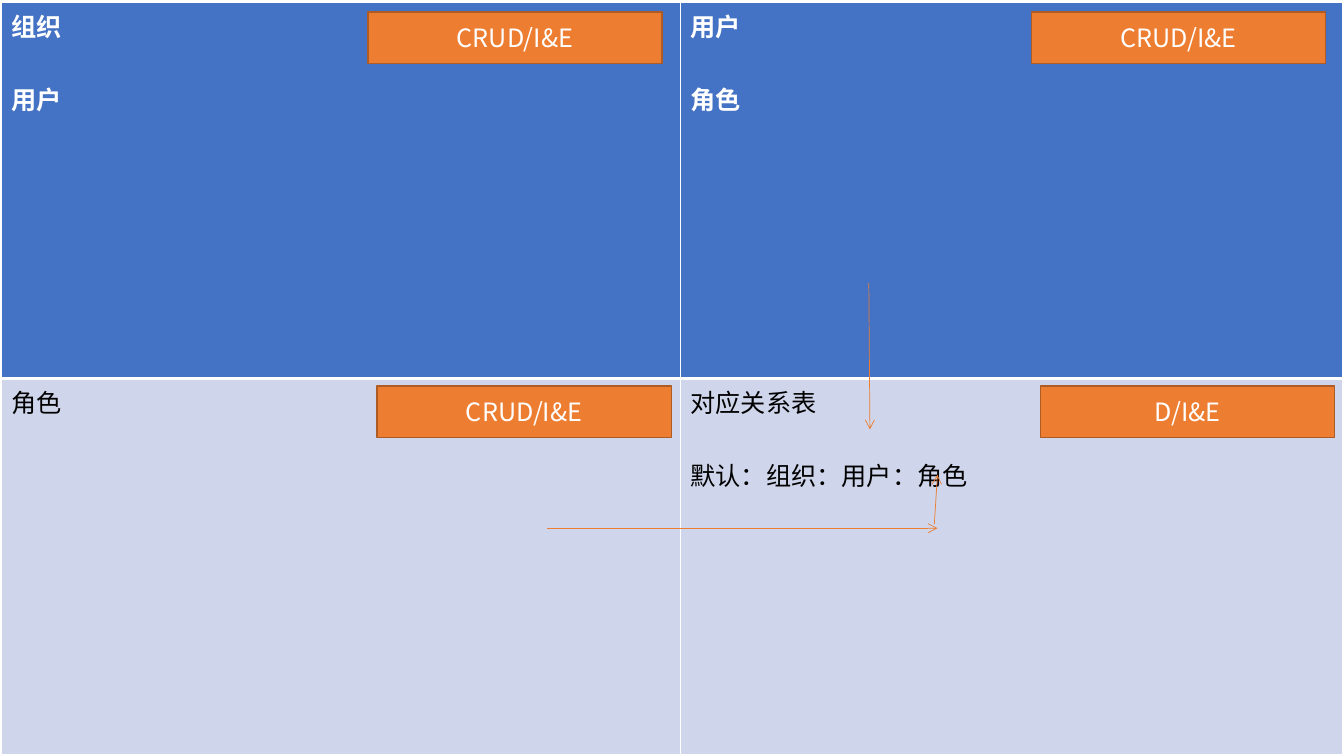
import pptx
import pptx.dml.color
import pptx.enum.shapes
import pptx.enum.text
import pptx.oxml
import pptx.oxml.ns
import pptx.util
import lxml.etree

Pt = pptx.util.Pt
qn = pptx.oxml.ns.qn
Color = pptx.dml.color.RGBColor.from_string

theme = {
    "font": "Noto Sans CJK SC",
    "size": Pt(18),
    "white": "FFFFFF",
    "black": "000000",
    "header": "4472C4",
    "body": "CFD5EA",
    "accent": "ED7D31",
    "accent_edge": "AF5C24",
}


def add_text(paragraph, text, color, bold=False):
    run = paragraph.add_run()
    run.text = text
    run.font.size = theme["size"]
    run.font.bold = bold
    run.font.color.rgb = Color(theme[color])
    run.font.name = theme["font"]
    east_asian = lxml.etree.SubElement(run._r.get_or_add_rPr(), qn("a:ea"))
    east_asian.set("typeface", theme["font"])


def set_borders(cell, widths):
    properties = cell._tc.get_or_add_tcPr()
    for position, (side, width) in enumerate(widths.items()):
        border = lxml.etree.Element(qn("a:ln" + side), w=str(Pt(width)))
        fill = lxml.etree.SubElement(border, qn("a:solidFill"))
        lxml.etree.SubElement(fill, qn("a:srgbClr"), val=theme["white"])
        properties.insert(position, border)


presentation = pptx.Presentation()
presentation.slide_width = Pt(960)
presentation.slide_height = Pt(540)
slide = presentation.slides.add_slide(presentation.slide_layouts[6])

# Quadrant table
column_widths = [485.3, 473]
row_height = 269
quadrants = [
    [["组织", "用户"], ["用户", "角色"]],
    [["角色"], ["对应关系表", "默认：组织：用户：角色"]],
]
table = slide.shapes.add_table(
    2, 2, Pt(0.7), Pt(1.4), Pt(sum(column_widths)), Pt(2 * row_height)
).table
for column, width in zip(table.columns, column_widths):
    column.width = Pt(width)
for row_index, row in enumerate(quadrants):
    table.rows[row_index].height = Pt(row_height)
    is_header = row_index == 0
    for column_index, lines in enumerate(row):
        cell = table.cell(row_index, column_index)
        cell.fill.solid()
        cell.fill.fore_color.rgb = Color(theme["header" if is_header else "body"])
        set_borders(cell, {"L": 1, "R": 1, "T": 1 if is_header else 3,
                           "B": 3 if is_header else 1})
        for line_index, line in enumerate(lines):
            if line_index == 0:
                paragraph = cell.text_frame.paragraphs[0]
            else:
                paragraph = cell.text_frame.add_paragraph()
                paragraph.space_before = Pt(26)
            add_text(paragraph, line, "white" if is_header else "black", is_header)

# Operation labels, one in each quadrant
label_column_pitch = 473.8
label_rows = [
    (262.8, 8.6, ["CRUD/I&E", "CRUD/I&E"]),
    (269.3, 275.8, ["CRUD/I&E", "D/I&E"]),
]
for left, top, labels in label_rows:
    for column_index, label in enumerate(labels):
        shape = slide.shapes.add_shape(
            pptx.enum.shapes.MSO_SHAPE.RECTANGLE,
            Pt(left + column_index * label_column_pitch), Pt(top), Pt(210.2), Pt(36.7))
        shape.shadow.inherit = False
        shape.fill.solid()
        shape.fill.fore_color.rgb = Color(theme["accent"])
        shape.line.color.rgb = Color(theme["accent_edge"])
        shape.line.width = Pt(1)
        shape.text_frame.vertical_anchor = pptx.enum.text.MSO_ANCHOR.MIDDLE
        paragraph = shape.text_frame.paragraphs[0]
        paragraph.alignment = pptx.enum.text.PP_ALIGN.CENTER
        add_text(paragraph, label, "white")

# Arrows into the mapping quadrant
arrows = [
    (620.6, 202.3, 621.4, 306.7),
    (391, 377.3, 669.6, 377.3),
    (667.4, 374.4, 669.6, 339.1),
]
for ends in arrows:
    arrow = slide.shapes.add_connector(
        pptx.enum.shapes.MSO_CONNECTOR.STRAIGHT, *[Pt(value) for value in ends])
    arrow.line.color.rgb = Color(theme["accent"])
    arrow.line.width = Pt(0.5)
    lxml.etree.SubElement(arrow.line._get_or_add_ln(), qn("a:tailEnd"), type="arrow")
    lxml.etree.SubElement(arrow._element.spPr, qn("a:effectLst"))

presentation.save("out.pptx")
